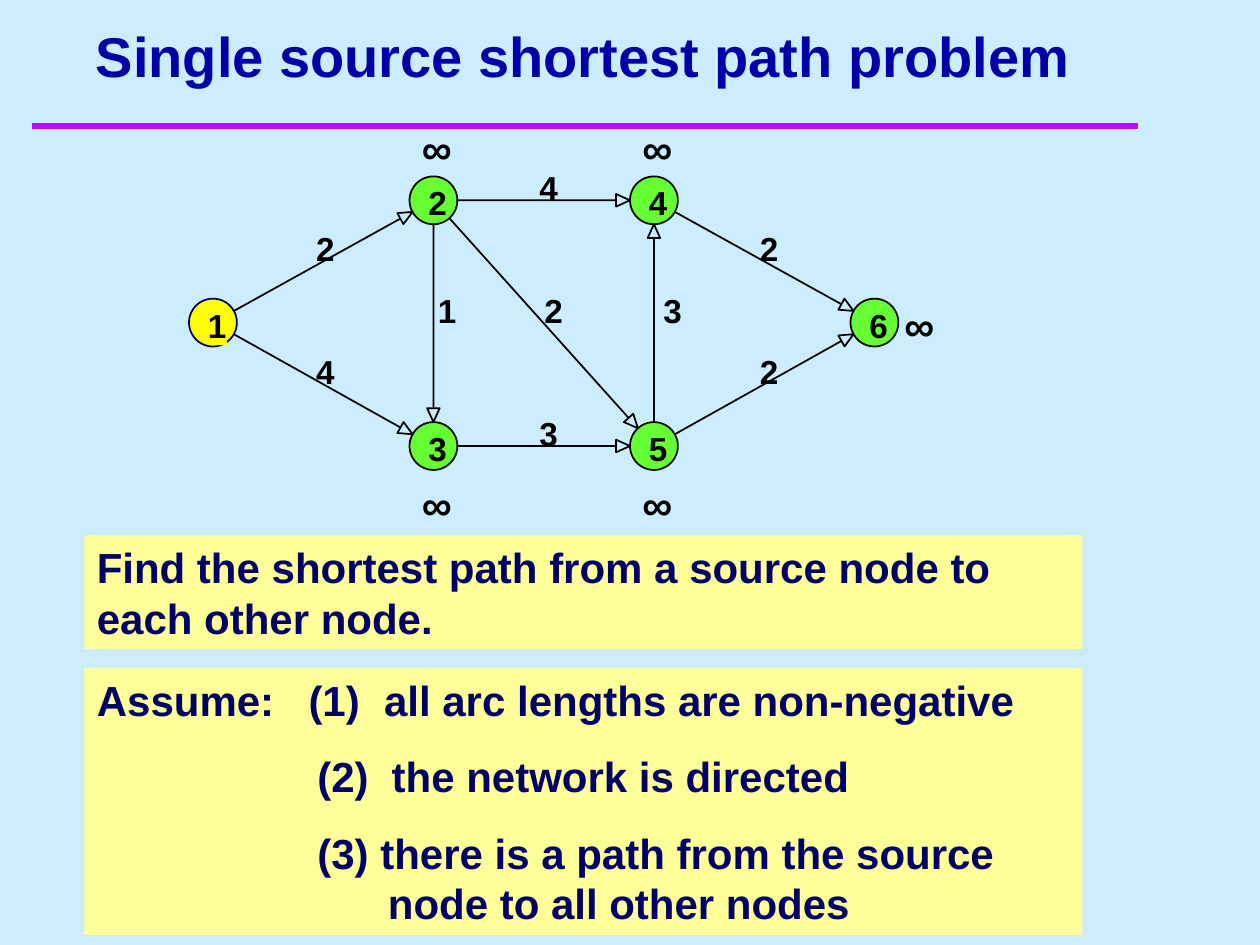
from dataclasses import dataclass
from math import hypot

from pptx import Presentation
from pptx import util as u
from pptx.dml.color import RGBColor
from pptx.enum import shapes, text
from pptx.oxml import parse_xml
from pptx.oxml.ns import nsdecls


@dataclass(frozen=True)
class Theme:
    font: str = "Arial"
    background: str = "CCECFF"
    title: str = "0000A8"
    rule: str = "CC00FF"
    panel: str = "FFFF99"
    body: str = "000066"
    ink: str = "000000"
    node: str = "66FF33"
    source: str = "FFFF00"
    title_size: int = 32
    body_size: int = 24
    label_size: int = 19


THEME = Theme()
RADIUS = 0.19
HEAD_LENGTH, HEAD_HALF_WIDTH = 0.11, 0.05
LABEL_W, LABEL_H = 0.15, 0.32

COLUMNS = [1.69 + 1.75 * i for i in range(4)]
TOP, MIDDLE, BOTTOM = 1.59, 2.56, 3.54
NODES = {
    "1": (COLUMNS[0], MIDDLE),
    "2": (COLUMNS[1], TOP),
    "3": (COLUMNS[1], BOTTOM),
    "4": (COLUMNS[2], TOP),
    "5": (COLUMNS[2], BOTTOM),
    "6": (COLUMNS[3], MIDDLE),
}
# tail node, head node, arc length, label shift to the right of the midpoint
ARCS = [
    ("1", "2", "2", 0.02),
    ("2", "4", "4", 0.04),
    ("2", "5", "2", 0.08),
    ("2", "3", "1", 0.11),
    ("3", "5", "3", 0.04),
    ("1", "3", "4", 0.02),
    ("4", "6", "2", 0.04),
    ("5", "4", "3", 0.15),
    ("5", "6", "2", 0.04),
]
DISTANCES = [(3.25, 0.92), (3.25, 3.75), (5, 0.92), (5, 3.75), (7.08, 2.33)]


def rgb(color):
    return RGBColor.from_string(color)


def add_text(s, box, lines, size, color, fill=None, inset=(0.1, 0.05), wrap=True):
    sp = s.shapes.add_textbox(*map(u.Inches, box))
    if fill:
        sp.fill.solid()
        sp.fill.fore_color.rgb = rgb(fill)
    tf = sp.text_frame
    tf.word_wrap = wrap
    tf.margin_left = tf.margin_right = u.Inches(inset[0])
    tf.margin_top = tf.margin_bottom = u.Inches(inset[1])
    tf.text = "\n".join(lines)
    for p in tf.paragraphs:
        for r in p.runs:
            r.font.name = THEME.font
            r.font.size = u.Pt(size)
            r.font.bold = True
            r.font.color.rgb = rgb(color)
    return tf


def add_label(s, x, y, label, fill=None):
    add_text(s, (x, y, LABEL_W, LABEL_H), [label], THEME.label_size, THEME.ink,
             fill=fill, inset=(0, 0), wrap=False)


def add_panel(s, top, height, lines):
    return add_text(s, (0.67, top, 7.92, height), lines, THEME.body_size,
                    THEME.body, fill=THEME.panel)


def add_node(s, name, fill, line, label_fill=None):
    x, y = NODES[name]
    sp = s.shapes.add_shape(shapes.MSO_SHAPE.OVAL, u.Inches(x - RADIUS), u.Inches(y - RADIUS),
                            u.Inches(2 * RADIUS), u.Inches(2 * RADIUS))
    sp.shadow.inherit = False
    sp.fill.solid()
    sp.fill.fore_color.rgb = rgb(fill)
    sp.line.color.rgb = rgb(line)
    sp.line.width = u.Pt(1)
    add_label(s, x - 0.04, y - 0.14, name, label_fill)


def add_arc(s, tail, head, length, shift):
    """Draw an arrow with a hollow head between two node rims, with its length."""
    (x1, y1), (x2, y2) = NODES[tail], NODES[head]
    span = hypot(x2 - x1, y2 - y1)
    dx, dy = (x2 - x1) / span, (y2 - y1) / span

    def point(along, aside=0):
        return (u.Inches(x1 + along * dx - aside * dy),
                u.Inches(y1 + along * dy + aside * dx))

    tip = span - RADIUS
    neck = tip - HEAD_LENGTH
    builder = s.shapes.build_freeform(*point(RADIUS))
    builder.add_line_segments([point(neck), point(neck, HEAD_HALF_WIDTH), point(tip),
                               point(neck, -HEAD_HALF_WIDTH), point(neck)])
    sp = builder.convert_to_shape()
    sp.shadow.inherit = False
    sp.fill.background()
    sp.line.color.rgb = rgb(THEME.ink)
    sp.line.width = u.Pt(1)
    add_label(s, (x1 + x2 - LABEL_W) / 2 + shift, (y1 + y2 - LABEL_H) / 2 - 0.1, length)


def add_title(s, title):
    rule = s.shapes.add_connector(shapes.MSO_CONNECTOR.STRAIGHT, u.Inches(0.25), u.Inches(1),
                                  u.Inches(9.03), u.Inches(1))
    rule.line.color.rgb = rgb(THEME.rule)
    rule.line.width = u.Pt(4)
    rule._element.spPr.append(parse_xml(f"<a:effectLst {nsdecls('a')}/>"))
    tf = add_text(s, (0.42, 0, 8.42, 0.75), [title], THEME.title_size, THEME.title)
    tf.vertical_anchor = text.MSO_ANCHOR.BOTTOM
    tf.paragraphs[0].alignment = text.PP_ALIGN.CENTER


def set_hanging(p, number_at, text_at):
    pPr = p._p.get_or_add_pPr()
    pPr.set("marL", str(u.Inches(text_at)))
    pPr.set("indent", str(u.Inches(number_at) - u.Inches(text_at)))


def set_tabs(p, *stops):
    tabs = "".join(f'<a:tab pos="{u.Inches(stop)}" algn="l"/>' for stop in stops)
    p._p.get_or_add_pPr().append(parse_xml(f"<a:tabLst {nsdecls('a')}>{tabs}</a:tabLst>"))


def add_assumptions(s):
    tf = add_panel(s, 5.3, 2.12, [
        "Assume:\t(1)\tall arc lengths are non-negative",
        "(2)\tthe network is directed",
        "(3) there is a path from the source node to all other nodes",
    ])
    first, second, third = tf.paragraphs
    second.space_before = third.space_before = u.Pt(15)
    set_tabs(first, 1.68, 2.28)
    set_hanging(second, 1.75, 2.34)
    set_hanging(third, 1.75, 2.31)


def main():
    prs = Presentation()
    prs.slide_width, prs.slide_height = u.Inches(10), u.Inches(7.5)
    s = prs.slides.add_slide(prs.slide_layouts[6])
    s.background.fill.solid()
    s.background.fill.fore_color.rgb = rgb(THEME.background)

    add_title(s, "Single source shortest path problem")
    add_panel(s, 4.25, 0.9, ["Find the shortest path from a source node to each other node."])
    for name in "23456":
        add_node(s, name, THEME.node, THEME.ink)
    for arc in ARCS:
        add_arc(s, *arc)
    add_node(s, "1", THEME.source, THEME.body, label_fill=THEME.source)
    for x, y in DISTANCES:
        add_text(s, (x, y, 0.58, 0.5), ["∞"], THEME.body_size, THEME.ink)
    add_assumptions(s)
    prs.save("out.pptx")


if __name__ == "__main__":
    main()
